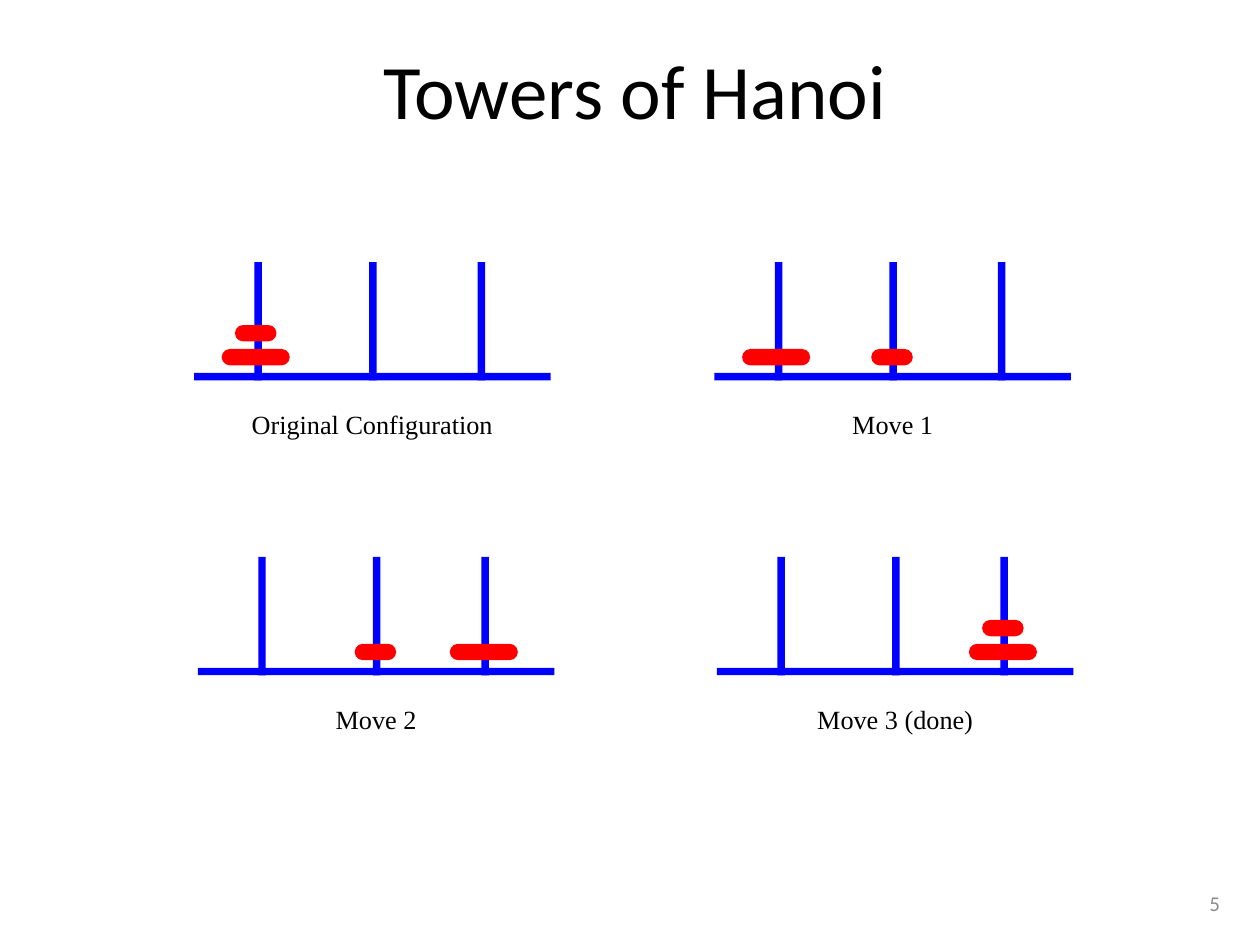
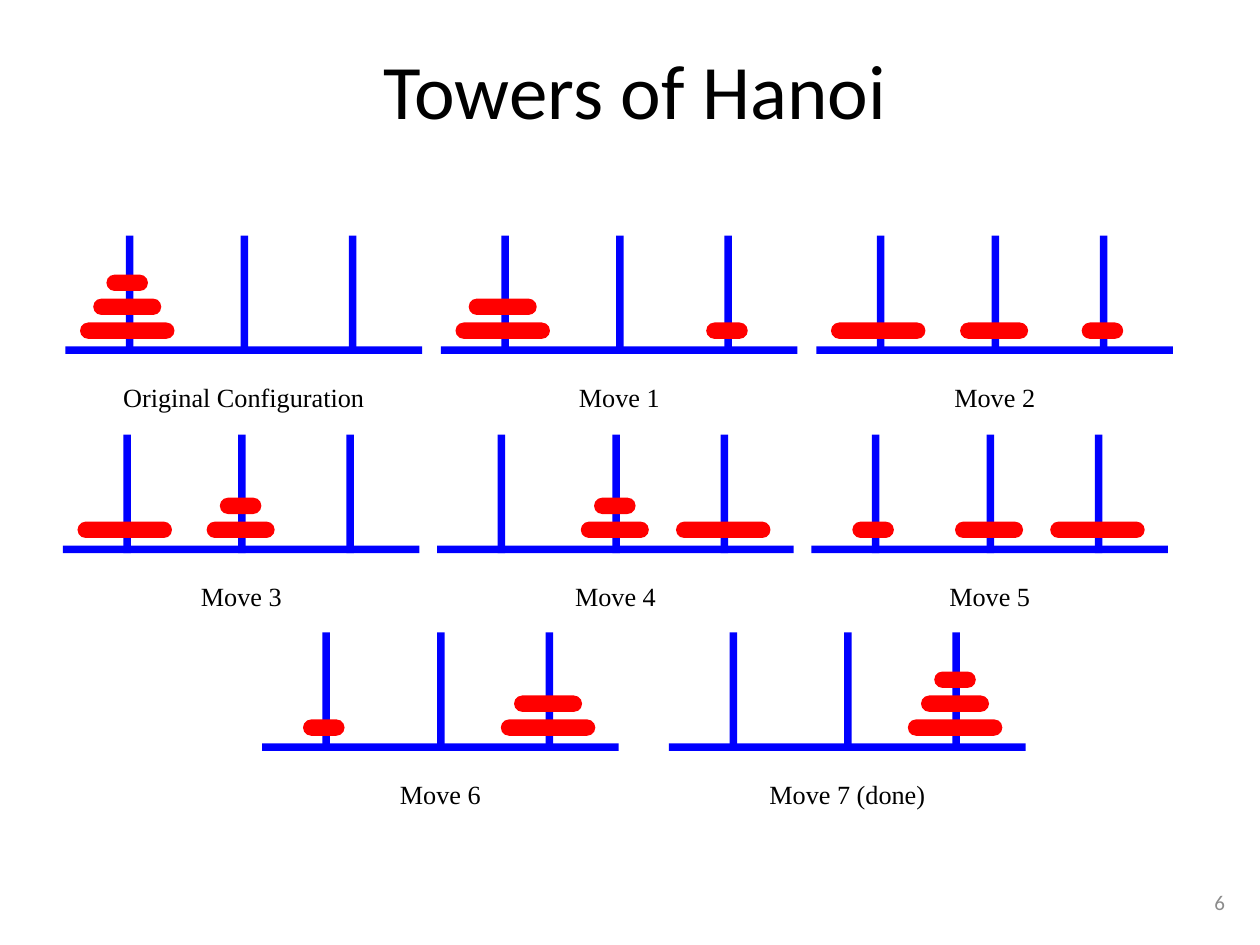
"""Build two slides that show the Towers of Hanoi solved with two and three disks."""
from dataclasses import dataclass

from pptx import Presentation
from pptx.dml.color import RGBColor
from pptx.enum.shapes import MSO_SHAPE
from pptx.enum.text import MSO_ANCHOR, MSO_AUTO_SIZE, PP_ALIGN
from pptx.util import Inches, Pt

RECT, ROUNDED = MSO_SHAPE.RECTANGLE, MSO_SHAPE.ROUNDED_RECTANGLE
CENTER, RIGHT = PP_ALIGN.CENTER, PP_ALIGN.RIGHT
MIDDLE = MSO_ANCHOR.MIDDLE
FIT_SHAPE = MSO_AUTO_SIZE.SHAPE_TO_FIT_TEXT


@dataclass(frozen=True)
class Theme:
    wood: RGBColor = RGBColor(0x00, 0x00, 0xFF)
    disk: RGBColor = RGBColor(0xFF, 0x00, 0x00)
    ink: RGBColor = RGBColor(0x00, 0x00, 0x00)
    muted: RGBColor = RGBColor(0x8C, 0x8C, 0x8C)
    heading_font: str = "Calibri"
    caption_font: str = "Times New Roman"
    title_size: int = 44
    caption_size: int = 15
    number_size: int = 12


THEME = Theme()

BOARD_WIDTH, BAR = 2.83, 0.06
PEG_LEFTS = (0.48, 1.39, 2.25)
DISK_CENTERS = (0.49, 1.41, 2.27)
PEG_HEIGHT, BASE_TOP, CAPTION_TOP, CAPTION_HEIGHT = 0.94, 0.88, 1.11, 0.35
DISK_HEIGHT, FLOOR, DISK_STEP = 0.13, 0.69, 0.19
DISK_WIDTHS = {1: 0.33, 2: 0.54, 3: 0.75}
START, MOVE, DONE = 2.13, 0.85, 1.45

# Each row: left, column step, top, boards; a board lists disks from the bottom up on each peg.
SLIDES = [
    ("5", 7.7, 6.92, [
        (1.54, 4.13, 2.08, [
            ("Original Configuration", START, [(2, 1), (), ()]),
            ("Move 1", MOVE, [(2,), (1,), ()]),
        ]),
        (1.57, 4.12, 4.42, [
            ("Move 2", MOVE, [(), (1,), (2,)]),
            ("Move 3 (done)", DONE, [(), (), (2, 1)]),
        ]),
    ]),
    ("6", 7.74, 6.91, [
        (0.52, 2.98, 1.87, [
            ("Original Configuration", START, [(3, 2, 1), (), ()]),
            ("Move 1", MOVE, [(3, 2), (), (1,)]),
            ("Move 2", MOVE, [(3,), (2,), (1,)]),
        ]),
        (0.5, 2.97, 3.45, [
            ("Move 3", MOVE, [(3,), (2, 1), ()]),
            ("Move 4", MOVE, [(), (2, 1), (3,)]),
            ("Move 5", MOVE, [(1,), (2,), (3,)]),
        ]),
        (2.08, 3.23, 5.02, [
            ("Move 6", MOVE, [(1,), (), (3, 2)]),
            ("Move 7 (done)", DONE, [(), (), (3, 2, 1)]),
        ]),
    ]),
]


def add_piece(shapes, preset, color, left, top, width, height):
    piece = shapes.add_shape(preset, Inches(left), Inches(top), Inches(width), Inches(height))
    piece.shadow.inherit = False
    piece.fill.solid()
    piece.fill.fore_color.rgb = color
    piece.line.fill.background()
    if preset == ROUNDED:
        piece.adjustments[0] = 0.5


def write(frame, text, align, font_name, size, color):
    frame.text = text
    paragraph = frame.paragraphs[0]
    paragraph.alignment = align
    paragraph.font.name = font_name
    paragraph.font.size = Pt(size)
    paragraph.font.color.rgb = color


prs = Presentation()
prs.slide_width, prs.slide_height = Inches(10), Inches(7.5)
title_only = prs.slide_layouts[5]

for number, number_left, number_top, rows in SLIDES:
    slide = prs.slides.add_slide(title_only)
    title = slide.shapes.title
    title.left, title.top = Inches(0.5), Inches(0.08)
    title.width, title.height = Inches(9.08), Inches(1.25)
    title.text_frame.vertical_anchor = MIDDLE
    write(title.text_frame, "Towers of Hanoi", CENTER,
          THEME.heading_font, THEME.title_size, THEME.ink)

    for row_left, column_step, top, boards in rows:
        for column, (caption, caption_width, pegs) in enumerate(boards):
            left = row_left + column * column_step
            board = slide.shapes.add_group_shape().shapes
            add_piece(board, RECT, THEME.wood, left, top + BASE_TOP, BOARD_WIDTH, BAR)
            for peg_left in PEG_LEFTS:
                add_piece(board, RECT, THEME.wood, left + peg_left, top, BAR, PEG_HEIGHT)
            for center, stack in zip(DISK_CENTERS, pegs):
                for level, disk in enumerate(stack):
                    width = DISK_WIDTHS[disk]
                    add_piece(board, ROUNDED, THEME.disk, left + center - width / 2,
                              top + FLOOR - level * DISK_STEP, width, DISK_HEIGHT)
            label = board.add_textbox(
                Inches(left + (BOARD_WIDTH - caption_width) / 2), Inches(top + CAPTION_TOP),
                Inches(caption_width), Inches(CAPTION_HEIGHT)).text_frame
            label.word_wrap = False
            label.auto_size = FIT_SHAPE
            write(label, caption, CENTER, THEME.caption_font, THEME.caption_size, THEME.ink)

    page = slide.shapes.add_textbox(Inches(number_left), Inches(number_top),
                                    Inches(2.08), Inches(0.5)).text_frame
    page.word_wrap = True
    page.vertical_anchor = MIDDLE
    write(page, number, RIGHT, THEME.heading_font, THEME.number_size, THEME.muted)

prs.save("out.pptx")
